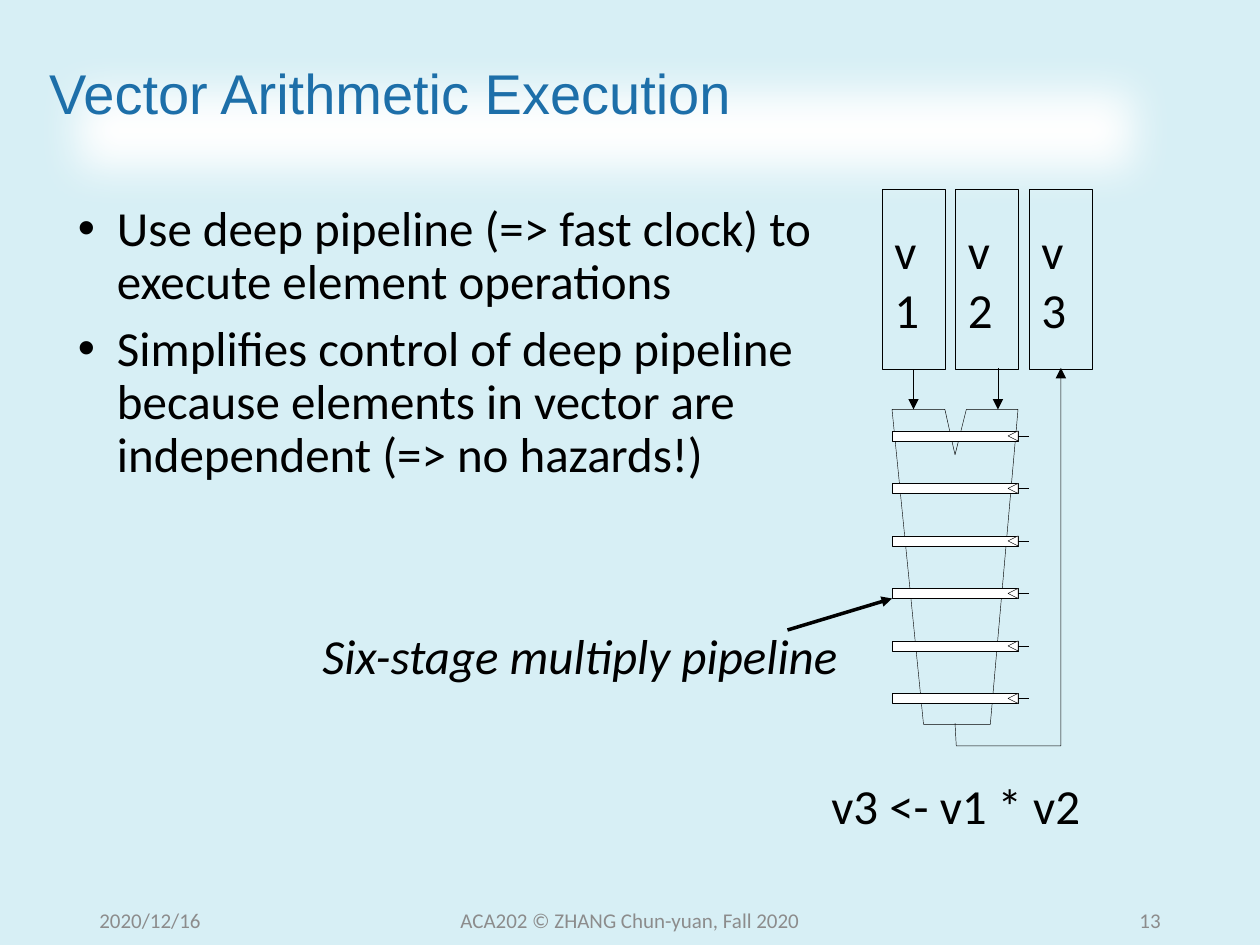
from lxml.etree import SubElement
from pptx import Presentation
from pptx.dml.color import RGBColor
from pptx.enum.shapes import MSO_CONNECTOR as Connector, MSO_SHAPE as Shape
from pptx.enum.text import MSO_ANCHOR as Anchor, PP_ALIGN as Align
from pptx.oxml.ns import qn
from pptx.util import Inches, Pt

BACKGROUND = RGBColor(0xD7, 0xEF, 0xF5)
TITLE_BLUE = RGBColor(0x1D, 0x6F, 0xA9)
BLACK = RGBColor(0, 0, 0)
WHITE = RGBColor(0xFF, 0xFF, 0xFF)
GRAY = RGBColor(0x8C, 0x8C, 0x8C)

TITLE = {"name": "Arial", "size": Pt(32), "color": TITLE_BLUE}
BODY = {"name": "Calibri", "size": Pt(28), "color": BLACK}
CAPTION = {**BODY, "italic": True}
FOOTER = {"name": "Calibri", "size": Pt(12), "color": GRAY}

STAGES = 6
STAGE_STEP = 5 / 12
BAR = 0.08


def format_font(font, style):
    for name, value in style.items():
        if name == "color":
            font.color.rgb = value
        else:
            setattr(font, name, value)


def write(para, text, style, align=Align.LEFT):
    para.alignment = align
    span = para.add_run()
    span.text = text
    format_font(span.font, style)


def format_shape(shape, fill=None):
    shape.shadow.inherit = False
    if fill is None:
        shape.fill.background()
    else:
        shape.fill.solid()
        shape.fill.fore_color.rgb = fill
    shape.line.color.rgb = BLACK
    shape.line.width = Pt(0.25)


def add_arrowhead(item):
    SubElement(item.line._get_or_add_ln(), qn("a:tailEnd"), type="triangle")


def add_box(shapes, left, top, width, height, fill=None):
    box = shapes.add_shape(Shape.RECTANGLE, *map(Inches, (left, top, width, height)))
    format_shape(box, fill)
    return box


def add_outline(shapes, points, fill=None, close=True):
    points = [(Inches(x), Inches(y)) for x, y in points]
    builder = shapes.build_freeform(*points[0])
    builder.add_line_segments(points[1:], close=close)
    outline = builder.convert_to_shape()
    format_shape(outline, fill)
    return outline


def add_line(shapes, start, end, width=0.25, arrow=True):
    line = shapes.add_connector(Connector.STRAIGHT, *map(Inches, (*start, *end)))
    line.line.color.rgb = BLACK
    line.line.width = Pt(width)
    if arrow:
        add_arrowhead(line)
    SubElement(line._element.spPr, qn("a:effectLst"))
    return line


def add_text(slide, place, text, style, align=Align.LEFT, wrap=True):
    frame = slide.shapes.add_textbox(*map(Inches, place)).text_frame
    frame.word_wrap = wrap
    frame.vertical_anchor = Anchor.MIDDLE
    write(frame.paragraphs[0], text, style, align)


def add_title(slide):
    title = slide.shapes.title
    title.left, title.top, title.width, title.height = map(Inches, (0.29, 0.4, 9.02, 1.26))
    title.fill.solid()
    title.fill.fore_color.rgb = WHITE
    effects = SubElement(title._element.spPr, qn("a:effectLst"))
    SubElement(effects, qn("a:softEdge"), rad="317500")
    frame = title.text_frame
    frame.vertical_anchor = Anchor.MIDDLE
    para = frame.paragraphs[0]
    para.line_spacing = 0.9
    write(para, "Vector Arithmetic Execution", TITLE)
    # The title ends with a line break of the same size
    para.add_line_break()
    SubElement(para._p[-1], qn("a:rPr"), sz="3200")
    SubElement(para._p, qn("a:endParaRPr"), sz="3200")


def add_bullets(slide, items):
    frame = slide.shapes.add_textbox(*map(Inches, (0.52, 1.54, 6.08, 2.37))).text_frame
    frame.word_wrap = True
    frame.vertical_anchor = Anchor.MIDDLE
    for index, item in enumerate(items):
        para = frame.add_paragraph() if index else frame.paragraphs[0]
        para.line_spacing = 0.9
        para.space_before = Pt(8 if index else 0)
        properties = para._p.get_or_add_pPr()
        properties.set("marL", str(Inches(0.31)))
        properties.set("indent", str(-Inches(0.31)))
        SubElement(properties, qn("a:buFont"), typeface="Arial")
        SubElement(properties, qn("a:buChar"), char="•")
        write(para, item, BODY)


def add_register(slide, left, name):
    register = add_box(slide.shapes, left, 1.5, 0.5, 1.43)
    frame = register.text_frame
    frame.word_wrap = True
    frame.vertical_anchor = Anchor.MIDDLE
    write(frame.paragraphs[0], name, BODY)
    return register


def add_stage(slide, top):
    """Pipeline latch: a bar, its clock notch and a clock tick."""
    shapes = slide.shapes.add_group_shape().shapes
    middle = top + BAR / 2
    bar = add_box(shapes, 7.08, top, 1, BAR, WHITE)
    add_outline(shapes, [(8.08, top + BAR), (8, middle), (8.08, top)], WHITE)
    tick = add_line(shapes, (8.08, middle), (8.17, middle), arrow=False)
    tick.begin_connect(bar, 3)


def add_pipeline(slide):
    # Multiplier body with its notch between the two inputs
    add_outline(slide.shapes, [(7.08, 3.25), (7.33, 5.75), (7.86, 5.75), (8.08, 3.25),
                               (7.67, 3.25), (7.58, 3.61), (7.5, 3.25)])
    for index in range(STAGES):
        add_stage(slide, 3.42 + index * STAGE_STEP)

    # Vector registers, inputs and result
    registers = [add_register(slide, 7 + index * 7 / 12, f"v{index + 1}") for index in range(3)]
    first_input = add_line(slide.shapes, (7.25, 2.93), (7.25, 3.25))
    first_input.begin_connect(registers[0], 2)
    add_line(slide.shapes, (7.92, 2.92), (7.92, 3.25))
    result = add_outline(slide.shapes, [(7.58, 5.74), (7.59, 5.92), (8.42, 5.92), (8.42, 2.92)],
                         close=False)
    add_arrowhead(result)


def main():
    deck = Presentation()
    deck.slide_width, deck.slide_height = Inches(10), Inches(7.5)
    slide = deck.slides.add_slide(deck.slide_layouts[5])
    slide.background.fill.solid()
    slide.background.fill.fore_color.rgb = BACKGROUND

    add_title(slide)
    add_bullets(slide, [
        "Use deep pipeline (=> fast clock) to execute element operations",
        "Simplifies control of deep pipeline because elements in vector are "
        "independent (=> no hazards!)",
    ])
    add_pipeline(slide)

    # Captions
    add_text(slide, (6.5, 6.1, 2.2, 0.57), "v3 <- v1 * v2", BODY, wrap=False)
    add_text(slide, (2.46, 4.91, 4.42, 0.57), "Six-stage multiply pipeline", CAPTION, wrap=False)
    add_line(slide.shapes, (6.25, 5), (7.08, 4.75), width=2)

    # Footer
    add_text(slide, (0.69, 7.1, 2.25, 0.4), "2020/12/16", FOOTER)
    add_text(slide, (3.31, 7.1, 3.38, 0.4), "ACA202 © ZHANG Chun-yuan, Fall 2020", FOOTER, Align.CENTER)
    add_text(slide, (7.06, 7.1, 2.25, 0.4), "13", FOOTER, Align.RIGHT)
    deck.save("out.pptx")


if __name__ == "__main__":
    main()
